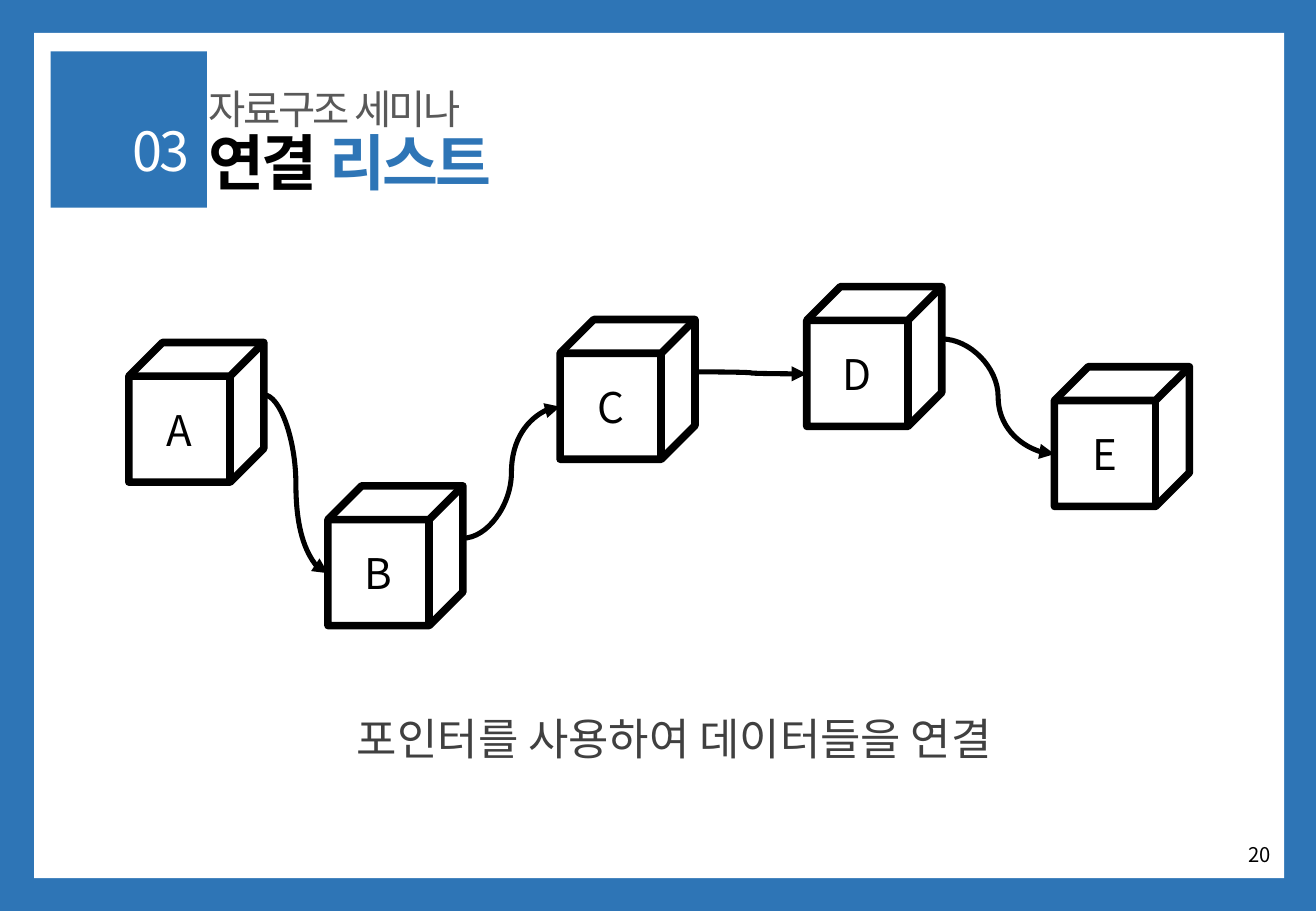
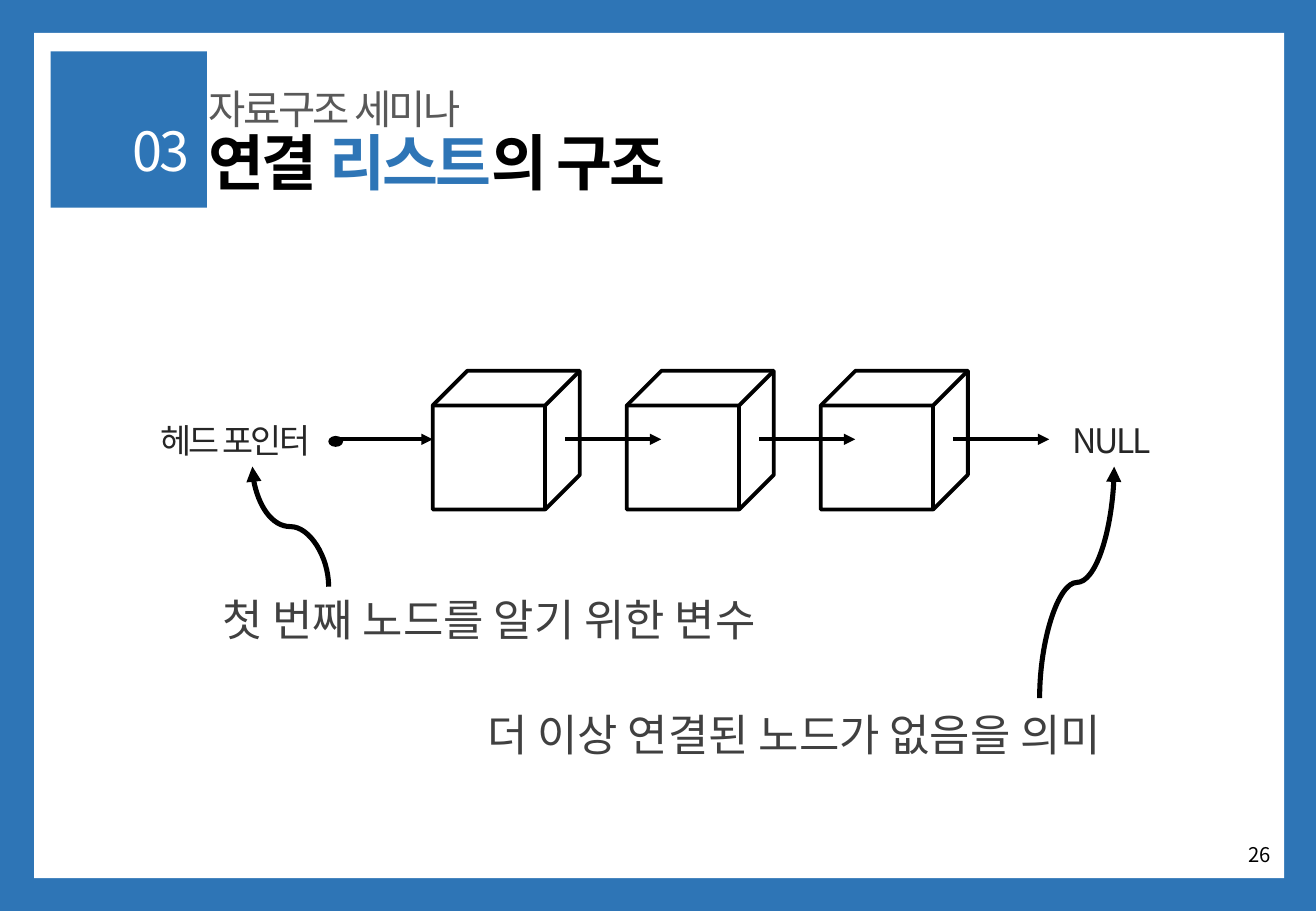
from dataclasses import dataclass
from itertools import pairwise

from lxml.etree import SubElement
from pptx import Presentation
from pptx.dml.color import RGBColor
from pptx.enum.shapes import MSO_CONNECTOR, MSO_SHAPE
from pptx.enum.text import MSO_ANCHOR, PP_ALIGN
from pptx.oxml.ns import qn
from pptx.shapes.autoshape import Shape
from pptx.shapes.connector import Connector
from pptx.slide import Slide
from pptx.text.text import _Paragraph
from pptx.util import Pt

FONT = "Noto Sans CJK KR"
COLORS = {
    "accent": "2E75B6",
    "black": "000000",
    "white": "FFFFFF",
    "subtitle": "595959",
    "caption": "404040",
    "label": "262626",
}
NODE_WIDTH, NODE_HEIGHT = 80, 82.8
EXIT_RATIO, ENTRY_RATIO = 0.375, 0.625
CELL_PITCH = 115


@dataclass(frozen=True)
class Box:
    left: float
    top: float
    width: float
    height: float


@dataclass(frozen=True)
class TextStyle:
    size: float
    color: str
    align: PP_ALIGN = PP_ALIGN.LEFT
    anchor: MSO_ANCHOR = MSO_ANCHOR.MIDDLE
    bold: bool = False
    tracking: float = 0
    line_spacing: float = 1


@dataclass(frozen=True)
class Node:
    letter: str
    left: float
    top: float

    @property
    def exit_point(self) -> tuple[float, float]:
        return self.left + NODE_WIDTH, self.top + NODE_HEIGHT * EXIT_RATIO

    @property
    def entry_point(self) -> tuple[float, float]:
        return self.left, self.top + NODE_HEIGHT * ENTRY_RATIO


TITLE = TextStyle(36, "black", bold=True, tracking=-1.5, line_spacing=0.9)
SUBTITLE = TextStyle(24, "subtitle", tracking=-1.5, line_spacing=0.9)
SECTION = TextStyle(32, "white", PP_ALIGN.RIGHT, tracking=-1.5, line_spacing=0.9)
PAGE = TextStyle(12, "black", PP_ALIGN.RIGHT)
LETTER = TextStyle(25, "black", PP_ALIGN.CENTER)
LABEL = TextStyle(20, "label", anchor=MSO_ANCHOR.TOP, tracking=-1.5)
CAPTION = TextStyle(26, "caption", PP_ALIGN.CENTER, MSO_ANCHOR.TOP, line_spacing=1.5)

NODES = [
    Node("A", 76.4, 203),
    Node("B", 194.4, 288),
    Node("C", 332, 189.4),
    Node("D", 478.2, 169.9),
    Node("E", 625, 217.4),
]


def rgb(color: str) -> RGBColor:
    return RGBColor.from_string(COLORS[color])


def style_paragraph(paragraph: _Paragraph, style: TextStyle) -> None:
    paragraph.alignment = style.align
    paragraph.line_spacing = style.line_spacing
    font = paragraph.font
    font.size = Pt(style.size)
    font.bold = style.bold
    font.color.rgb = rgb(style.color)
    font.name = FONT
    properties = paragraph._p.pPr.find(qn("a:defRPr"))
    SubElement(properties, qn("a:ea")).set("typeface", FONT)
    if style.tracking:
        properties.set("spc", str(round(style.tracking * 100)))


def write(shape: Shape, text: str, style: TextStyle) -> _Paragraph:
    frame = shape.text_frame
    frame.word_wrap = True
    frame.vertical_anchor = style.anchor
    paragraph = frame.paragraphs[0]
    style_paragraph(paragraph, style)
    if text:
        paragraph.add_run().text = text
    return paragraph


def add_text(slide: Slide, box: Box, text: str, style: TextStyle) -> _Paragraph:
    holder = slide.shapes.add_textbox(
        Pt(box.left), Pt(box.top), Pt(box.width), Pt(box.height)
    )
    return write(holder, text, style)


def add_figure(
    slide: Slide, kind: MSO_SHAPE, box: Box, fill: str = "", line_width: float = 0
) -> Shape:
    figure = slide.shapes.add_shape(
        kind, Pt(box.left), Pt(box.top), Pt(box.width), Pt(box.height)
    )
    figure.shadow.inherit = False
    if fill:
        figure.fill.solid()
        figure.fill.fore_color.rgb = rgb(fill)
    else:
        figure.fill.background()
    if line_width:
        figure.line.color.rgb = rgb("black")
        figure.line.width = Pt(line_width)
    else:
        figure.line.fill.background()
    return figure


def add_arrow(
    slide: Slide,
    start: tuple[float, float],
    end: tuple[float, float],
    width: float,
    kind: MSO_CONNECTOR = MSO_CONNECTOR.STRAIGHT,
) -> Connector:
    arrow = slide.shapes.add_connector(kind, *(Pt(value) for value in start + end))
    arrow.line.color.rgb = rgb("black")
    arrow.line.width = Pt(width)
    SubElement(arrow.line._get_or_add_ln(), qn("a:tailEnd")).set("type", "triangle")
    SubElement(arrow._element.spPr, qn("a:effectLst"))
    return arrow


def add_rising_curve(
    slide: Slide, start: tuple[float, float], end: tuple[float, float]
) -> None:
    center_x, center_y = (start[0] + end[0]) / 2, (start[1] + end[1]) / 2
    half_run, half_rise = (end[0] - start[0]) / 2, (start[1] - end[1]) / 2
    curve = add_arrow(
        slide,
        (center_x - half_rise, center_y - half_run),
        (center_x + half_rise, center_y + half_run),
        3,
        MSO_CONNECTOR.CURVE,
    )
    curve._element.spPr.find(qn("a:xfrm")).set("rot", str(270 * 60000))


def add_base(
    deck: Presentation, title: list[tuple[str, str]], page: str
) -> Slide:
    slide = deck.slides.add_slide(deck.slide_layouts[6])
    for box, fill in (
        (Box(0, 0, 780, 540), "accent"),
        (Box(20.2, 19.5, 741, 501), "white"),
        (Box(30, 30.5, 92.7, 92.7), "accent"),
    ):
        add_figure(slide, MSO_SHAPE.RECTANGLE, box, fill)
    heading = add_text(slide, Box(116.6, 77, 459.4, 43.2), "", TITLE)
    for text, color in title:
        run = heading.add_run()
        run.text = text
        run.font.color.rgb = rgb(color)
    add_text(slide, Box(116.6, 54.7, 354.2, 22.3), "자료구조 세미나", SUBTITLE)
    add_text(slide, Box(42.5, 72.7, 77, 36.7), "03", SECTION)
    add_text(slide, Box(584.6, 491.8, 175.7, 28.8), page, PAGE)
    return slide


def build_linked_nodes(deck: Presentation) -> None:
    slide = add_base(deck, [("연결 ", "black"), ("리스트", "accent")], "20")
    for node in NODES:
        box = Box(node.left, node.top, NODE_WIDTH, NODE_HEIGHT)
        cube = add_figure(slide, MSO_SHAPE.CUBE, box, line_width=4.5)
        write(cube, node.letter, LETTER)
    for source, target in pairwise(NODES):
        add_arrow(
            slide, source.exit_point, target.entry_point, 3, MSO_CONNECTOR.CURVE
        )
    add_text(
        slide, Box(160, 402.5, 480, 49), "포인터를 사용하여 데이터들을 연결", CAPTION
    )


def build_list_structure(deck: Presentation) -> None:
    title = [("연결 ", "black"), ("리스트", "accent"), ("의 구조", "black")]
    slide = add_base(deck, title, "26")
    pointer_y = 260.4
    add_text(slide, Box(87.8, 245.5, 123.8, 31.7), "헤드 포인터", LABEL)
    add_figure(
        slide, MSO_SHAPE.FLOWCHART_CONNECTOR, Box(194.6, 258.4, 8.8, 6.5), "black"
    )
    add_arrow(slide, (198.7, pointer_y), (256.5, pointer_y), 2.25)
    for index in range(3):
        left = 256.5 + index * CELL_PITCH
        add_figure(
            slide, MSO_SHAPE.CUBE, Box(left, 219.8, 87.2, 82.2), line_width=2.25
        )
        tail_x = left + 78.4
        add_arrow(slide, (tail_x, pointer_y), (tail_x + 57, pointer_y), 2.25)
    add_text(slide, Box(628.6, 245.5, 64.1, 31.7), "NULL", LABEL)
    add_text(slide, Box(50, 332, 480, 49), "첫 번째 노드를 알기 위한 변수", CAPTION)
    add_text(
        slide, Box(231, 400.5, 480, 49), "더 이상 연결된 노드가 없음을 의미", CAPTION
    )
    add_rising_curve(slide, (194.8, 347.8), (149.6, 276.6))
    add_rising_curve(slide, (616.2, 413.8), (660.4, 276.6))


def main() -> None:
    deck = Presentation()
    deck.slide_width, deck.slide_height = Pt(780), Pt(540)
    build_linked_nodes(deck)
    build_list_structure(deck)
    deck.save("out.pptx")


if __name__ == "__main__":
    main()
